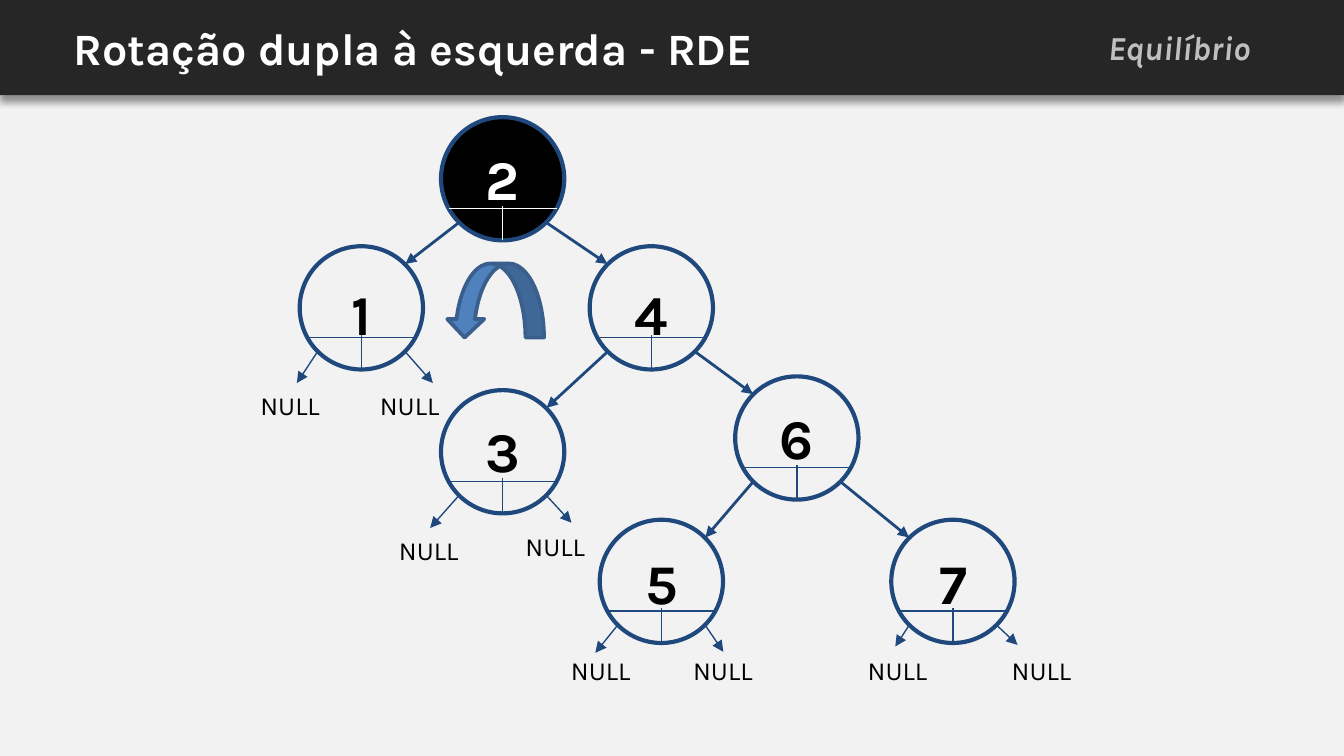
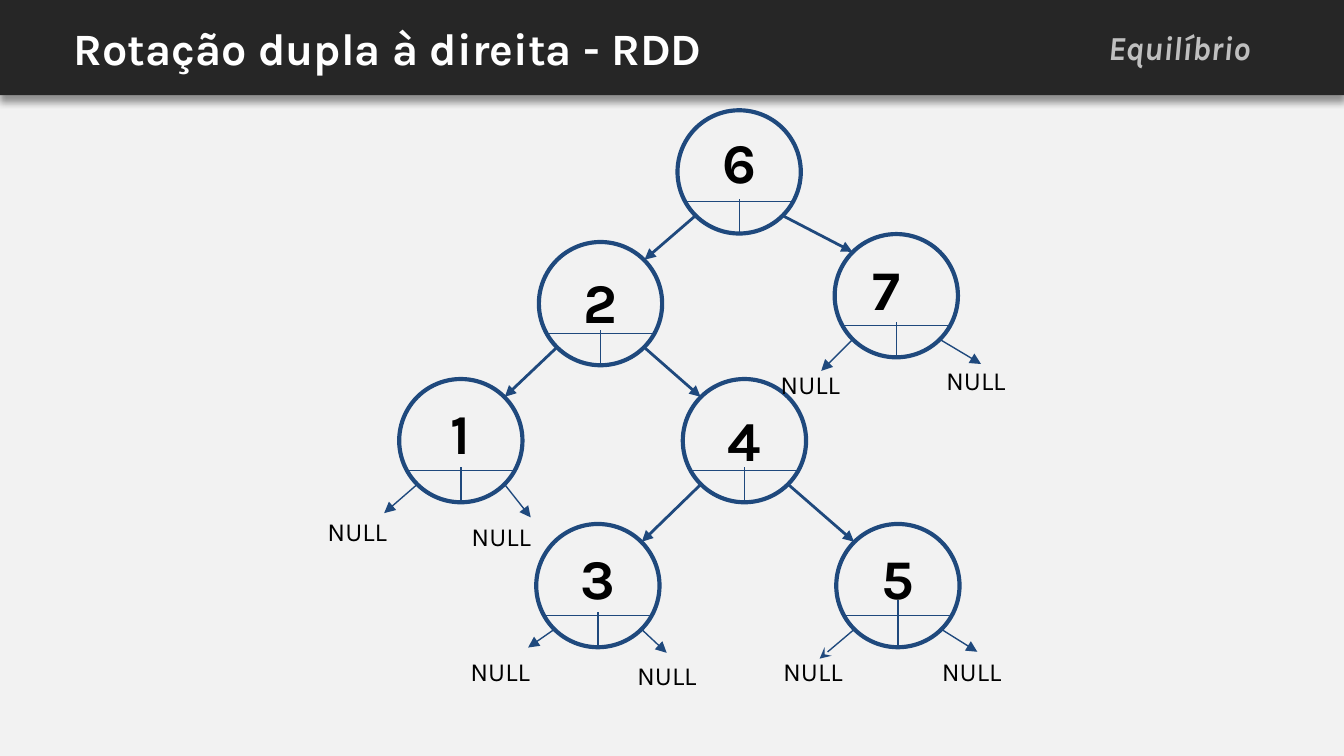
from dataclasses import dataclass

from lxml import etree
from pptx import Presentation
from pptx.dml.color import RGBColor
from pptx.enum import shapes, text
from pptx.oxml import ns
from pptx.util import Cm, Pt

FONT = "Karla"
COLORS = {
    "background": "F2F2F2", "band": "262626", "white": "FFFFFF",
    "black": "000000", "section": "BFBFBF", "outline": "1F497D",
    "arrow": "4F81BD", "arrow_edge": "3A5F8C",
}
PAGE_WIDTH, PAGE_HEIGHT, BAND_HEIGHT = 25.4, 14.29, 1.8
DIAMETER = 2.33
DIAGONAL = 0.83  # x and y distance from a centre to the circle at 45 degrees
INSET = 0.25
LEFT, RIGHT = -1, 1


@dataclass
class Node:
    x: float
    y: float
    rise: float  # from the centre up to the top of the key's box
    shift: float = 0
    stem: float = 0.66
    dark: bool = False


@dataclass
class Leaf:
    parent: str
    side: int
    tip: tuple
    label: tuple
    head: str = "triangle"


LEFT_TREE = {
    "2": Node(9.5, 3.38, 0.89, dark=True),
    "1": Node(6.83, 5.82, 0.79),
    "4": Node(12.31, 5.82, 0.79),
    "3": Node(9.5, 8.54, 0.91),
    "6": Node(15.06, 8.28, 0.91),
    "5": Node(12.5, 10.99, 0.88),
    "7": Node(18.01, 10.99, 0.88),
}
LEFT_EDGES = ["21", "24", "43", "46", "65", "67"]
LEFT_LEAVES = [
    Leaf("1", LEFT, (5.61, 7.24), (4.67, 7.11)),
    Leaf("1", RIGHT, (8.18, 7.24), (6.93, 7.11)),
    Leaf("3", LEFT, (8.13, 9.98), (7.29, 9.86)),
    Leaf("3", RIGHT, (10.8, 9.88), (9.68, 9.78)),
    Leaf("5", LEFT, (11.25, 12.34), (10.54, 12.12)),
    Leaf("5", RIGHT, (13.67, 12.32), (12.85, 12.12)),
    Leaf("7", LEFT, (16.92, 12.22), (16.15, 12.12)),
    Leaf("7", RIGHT, (19.23, 12.19), (18.87, 12.12)),
]

RIGHT_TREE = {
    "6": Node(13.97, 3.25, 1.09),
    "2": Node(11.35, 5.74, 0.94),
    "7": Node(16.94, 5.59, 1.02, shift=-0.18),
    "1": Node(8.71, 8.33, 1.04),
    "4": Node(14.07, 8.33, 0.91),
    "3": Node(11.3, 11.07, 1.04),
    "5": Node(16.97, 11.07, 1.04, stem=0.89),
}
RIGHT_EDGES = ["62", "67", "21", "24", "43", "45"]
RIGHT_LEAVES = [
    Leaf("7", LEFT, (15.52, 7.01), (14.5, 6.71)),
    Leaf("7", RIGHT, (18.54, 6.88), (17.63, 6.63)),
    Leaf("1", LEFT, (7.26, 9.7), (5.94, 9.5)),
    Leaf("1", RIGHT, (10.03, 9.78), (8.66, 9.58)),
    Leaf("3", LEFT, (9.98, 12.24), (8.64, 12.14)),
    Leaf("3", RIGHT, (12.6, 12.34), (11.79, 12.22)),
    Leaf("5", LEFT, (15.49, 12.45), (14.55, 12.14), head="stealth"),
    Leaf("5", RIGHT, (18.47, 12.32), (17.55, 12.14)),
]


def rgb(name):
    return RGBColor.from_string(COLORS[name])


def write(box, content, size, color="black", bold=False, italic=False,
          align=text.PP_ALIGN.LEFT, anchor=text.MSO_ANCHOR.TOP,
          inset_x=INSET, inset_y=INSET):
    frame = box.text_frame
    frame.word_wrap = True
    frame.auto_size = text.MSO_AUTO_SIZE.NONE
    frame.vertical_anchor = anchor
    frame.margin_left = frame.margin_right = Cm(inset_x)
    frame.margin_top = frame.margin_bottom = Cm(inset_y)
    para = frame.paragraphs[0]
    para.alignment = align
    span = para.add_run()
    span.text = content
    span.font.name = FONT
    span.font.size = Pt(size)
    span.font.bold = bold
    span.font.italic = italic
    span.font.color.rgb = rgb(color)


def add_text(page, left, top, width, height, content, **style):
    box = page.shapes.add_textbox(Cm(left), Cm(top), Cm(width), Cm(height))
    write(box, content, **style)


def add_preset(page, kind, left, top, width, height, fill=None, line=None, weight=1):
    shape = page.shapes.add_shape(kind, Cm(left), Cm(top), Cm(width), Cm(height))
    shape.shadow.inherit = False
    if fill:
        shape.fill.solid()
        shape.fill.fore_color.rgb = rgb(fill)
    else:
        shape.fill.background()
    if line:
        shape.line.color.rgb = rgb(line)
        shape.line.width = Pt(weight)
    else:
        shape.line.fill.background()
    return shape


def add_line(page, start, end, color="outline", weight=0.75, head=None):
    line = page.shapes.add_connector(
        shapes.MSO_CONNECTOR.STRAIGHT, *(Cm(value) for value in (*start, *end)))
    line.line.color.rgb = rgb(color)
    line.line.width = Pt(weight)
    if head:
        outline = line.line._get_or_add_ln()
        etree.SubElement(outline, ns.qn("a:tailEnd"), type=head)
    etree.SubElement(line._element.spPr, ns.qn("a:effectLst"))


def add_band(page):
    band = add_preset(page, shapes.MSO_SHAPE.RECTANGLE, 0, 0,
                      PAGE_WIDTH, BAND_HEIGHT, fill="band")
    effects = band._element.spPr.find(ns.qn("a:effectLst"))
    shadow = etree.SubElement(effects, ns.qn("a:outerShdw"), blurRad=str(Pt(4)),
                              dist=str(Pt(3)), dir="5400000", rotWithShape="0")
    tint = etree.SubElement(shadow, ns.qn("a:srgbClr"), val=COLORS["black"])
    etree.SubElement(tint, ns.qn("a:alpha"), val="40000")
    page.shapes._spTree.insert(2, band._element)  # behind the title


def add_page(deck, heading):
    page = deck.slides.add_slide(deck.slide_layouts[5])
    page.background.fill.solid()
    page.background.fill.fore_color.rgb = rgb("background")
    add_band(page)
    title = page.shapes.title
    title.left, title.top = Cm(1.14), Cm(0)
    title.width, title.height = Cm(23), Cm(BAND_HEIGHT)
    write(title, heading, size=24, color="white", bold=True,
          anchor=text.MSO_ANCHOR.MIDDLE)
    add_text(page, 17.25, 0.38, 6.63, 1.02, "Equilíbrio", size=18, color="section",
             bold=True, italic=True, align=text.PP_ALIGN.RIGHT, inset_y=0.13)
    return page


def add_node(page, key, node):
    """Circle with its key above two pointer fields."""
    radius = DIAMETER / 2
    add_preset(page, shapes.MSO_SHAPE.OVAL, node.x - radius, node.y - radius,
               DIAMETER, DIAMETER, fill="black" if node.dark else None,
               line="outline", weight=2.25)
    color = "white" if node.dark else "outline"
    bottom, divider = node.y + radius, node.y + 0.56
    add_line(page, (node.x, bottom), (node.x, bottom - node.stem), color)
    add_line(page, (node.x - 1.02, divider), (node.x + 1.02, divider), color)
    add_text(page, node.x - 0.79 + node.shift, node.y - node.rise, 1.58, 1.35, key,
             size=30, color="white" if node.dark else "black", bold=True,
             align=text.PP_ALIGN.CENTER)


def exit_point(node, side):
    return node.x + side * DIAGONAL, node.y + DIAGONAL


def add_edge(page, parent, child):
    side = RIGHT if child.x > parent.x else LEFT
    entry = child.x - side * DIAGONAL, child.y - DIAGONAL
    add_line(page, exit_point(parent, side), entry, weight=1.5, head="triangle")


def add_leaf(page, parent, leaf):
    add_line(page, exit_point(parent, leaf.side), leaf.tip, head=leaf.head)
    add_text(page, *leaf.label, 1.85, 0.66, "NULL", size=14)


def add_tree(page, nodes, edges, leaves):
    for key, node in nodes.items():
        add_node(page, key, node)
    for parent, child in edges:
        add_edge(page, nodes[parent], nodes[child])
    for leaf in leaves:
        add_leaf(page, nodes[leaf.parent], leaf)


def main():
    deck = Presentation()
    deck.slide_width, deck.slide_height = Cm(PAGE_WIDTH), Cm(PAGE_HEIGHT)

    page = add_page(deck, "Rotação dupla à esquerda - RDE")
    add_tree(page, LEFT_TREE, LEFT_EDGES, LEFT_LEAVES)
    rotation = add_preset(page, shapes.MSO_SHAPE.CURVED_UP_ARROW, 8.43, 4.98, 1.85, 1.4,
                          fill="arrow", line="arrow_edge", weight=2)
    rotation.rotation = 180

    page = add_page(deck, "Rotação dupla à direita - RDD")
    add_tree(page, RIGHT_TREE, RIGHT_EDGES, RIGHT_LEAVES)

    deck.save("out.pptx")


if __name__ == "__main__":
    main()
